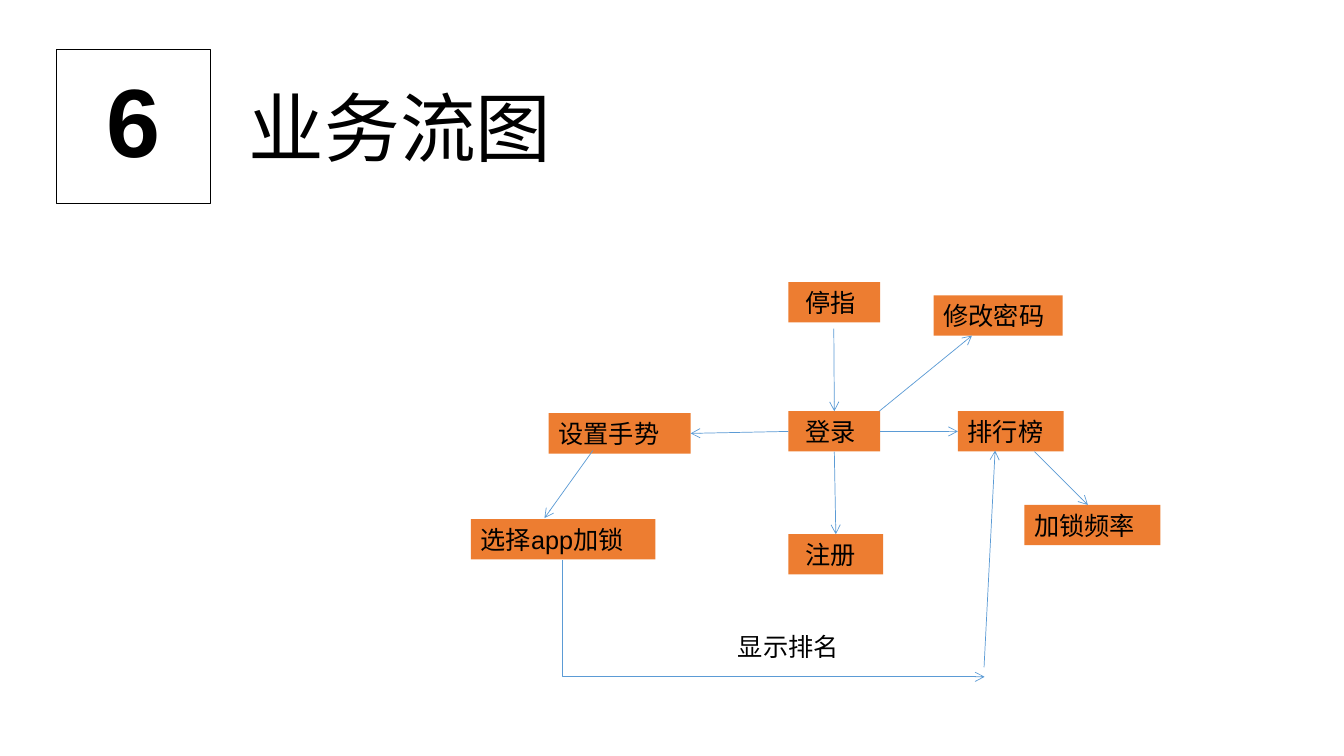
import pptx
import pptx.util
import pptx.dml.color
import pptx.enum.shapes
import pptx.enum.text
import pptx.oxml.ns
import lxml.etree

Inches = pptx.util.Inches
Pt = pptx.util.Pt
RGB = pptx.dml.color.RGBColor.from_string
Anchor = pptx.enum.text.MSO_ANCHOR
RECTANGLE = pptx.enum.shapes.MSO_SHAPE.RECTANGLE
STRAIGHT = pptx.enum.shapes.MSO_CONNECTOR.STRAIGHT

COLORS = {"node": "ED7D31", "arrow": "5B9BD5", "ink": "000000"}
NODE_HEIGHT = 0.4

deck = pptx.Presentation()
deck.slide_width = Inches(13.33)
deck.slide_height = Inches(7.5)
page = deck.slides.add_slide(deck.slide_layouts[6])


def write(box, text, size, anchor=Anchor.TOP, align=pptx.enum.text.PP_ALIGN.LEFT):
    frame = box.text_frame
    frame.word_wrap = True
    frame.vertical_anchor = anchor
    para = frame.paragraphs[0]
    para.text = text
    para.alignment = align
    para.font.size = Pt(size)
    para.font.name = "Arial"
    para.font.color.rgb = RGB(COLORS["ink"])
    return para


def add_arrow(start, end):
    arrow = page.shapes.add_connector(STRAIGHT, *map(Inches, start + end))
    arrow.line.color.rgb = RGB(COLORS["arrow"])
    arrow.line.width = Pt(0.5)
    qn = pptx.oxml.ns.qn
    lxml.etree.SubElement(arrow.line._get_or_add_ln(), qn("a:tailEnd"), type="arrow")
    lxml.etree.SubElement(arrow._element.spPr, qn("a:effectLst"))
    return arrow


# Heading
badge = page.shapes.add_shape(RECTANGLE, Inches(0.56), Inches(0.49), Inches(1.53), Inches(1.53))
badge.shadow.inherit = False
badge.fill.background()
badge.line.color.rgb = RGB(COLORS["ink"])
badge.line.width = Pt(0.5)
number = write(badge, "6", 69.3, Anchor.MIDDLE, pptx.enum.text.PP_ALIGN.CENTER)
number.font.bold = True
number.line_spacing = 0.9

title = page.shapes.add_textbox(Inches(2.37), Inches(0.75), Inches(3.95), Inches(1.01))
write(title, "业务流图", 54)

# Steps: text, left, top, width, left margin
steps = [
    ("停指", 7.82, 2.8, 0.91, 0.17),
    ("登录", 7.82, 4.08, 0.91, 0.17),
    ("注册", 7.82, 5.3, 0.94, 0.17),
    ("排行榜", 9.5, 4.08, 1.05, 0.1),
    ("设置手势", 5.44, 4.1, 1.41, 0.1),
    ("选择app加锁", 4.67, 5.15, 1.83, 0.1),
    ("加锁频率", 10.16, 5.01, 1.35, 0.1),
    ("修改密码", 9.26, 2.93, 1.28, 0.1),
]
nodes = {}
for text, left, top, width, margin in steps:
    node = page.shapes.add_shape(
        RECTANGLE, Inches(left), Inches(top), Inches(width), Inches(NODE_HEIGHT))
    node.shadow.inherit = False
    node.fill.solid()
    node.fill.fore_color.rgb = RGB(COLORS["node"])
    node.line.fill.background()
    write(node, text, 18)
    node.text_frame.margin_left = Inches(margin)
    nodes[text] = node

# Arrows: start, end, joined start (step, side), joined end (step, side)
arrows = [
    ((8.27, 3.26), (8.27, 4.08), None, ("登录", 0)),
    ((8.27, 4.48), (8.27, 5.3), ("登录", 2), ("注册", 0)),
    ((8.72, 4.28), (9.5, 4.28), ("登录", 3), ("排行榜", 1)),
    ((7.82, 4.28), (6.87, 4.28), ("登录", 1), ("设置手势", 3)),
    ((5.88, 4.47), (5.4, 5.14), None, None),
    ((10.26, 4.48), (10.79, 5.01), None, None),
    ((8.72, 4.08), (9.64, 3.33), None, None),
    ((9.76, 6.62), (9.87, 4.47), None, None),
]
for start, end, joined_start, joined_end in arrows:
    arrow = add_arrow(start, end)
    if joined_start:
        arrow.begin_connect(nodes[joined_start[0]], joined_start[1])
    if joined_end:
        arrow.end_connect(nodes[joined_end[0]], joined_end[1])

# Elbow that runs down and then right: a two-part bend turned by 90 degrees
elbow = add_arrow((7.09, 8.23), (8.25, 4.04))
elbow._element.spPr.find(pptx.oxml.ns.qn("a:prstGeom")).set("prst", "bentConnector2")
elbow._element.spPr.find(pptx.oxml.ns.qn("a:xfrm")).set("rot", "5400000")

label = page.shapes.add_textbox(Inches(7.22), Inches(6.21), Inches(1.5), Inches(0.4))
write(label, "显示排名", 18)

deck.save("out.pptx")
